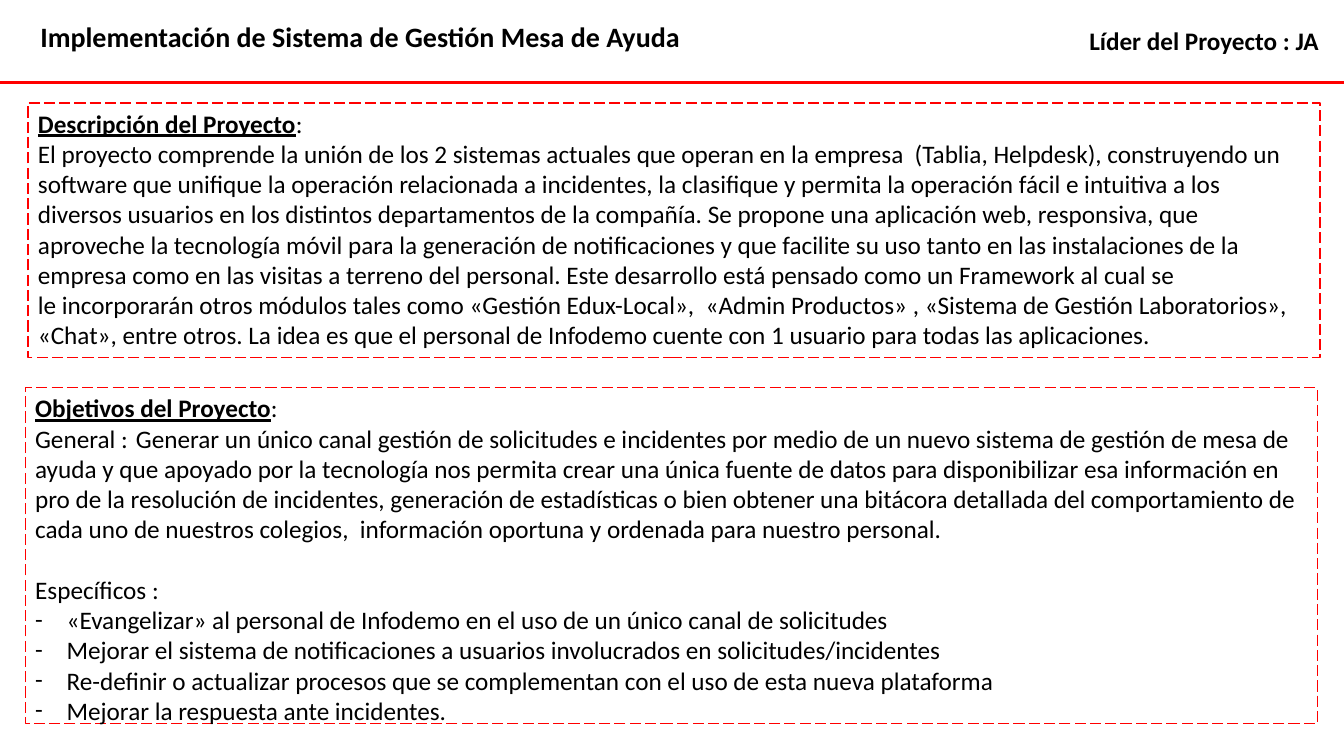
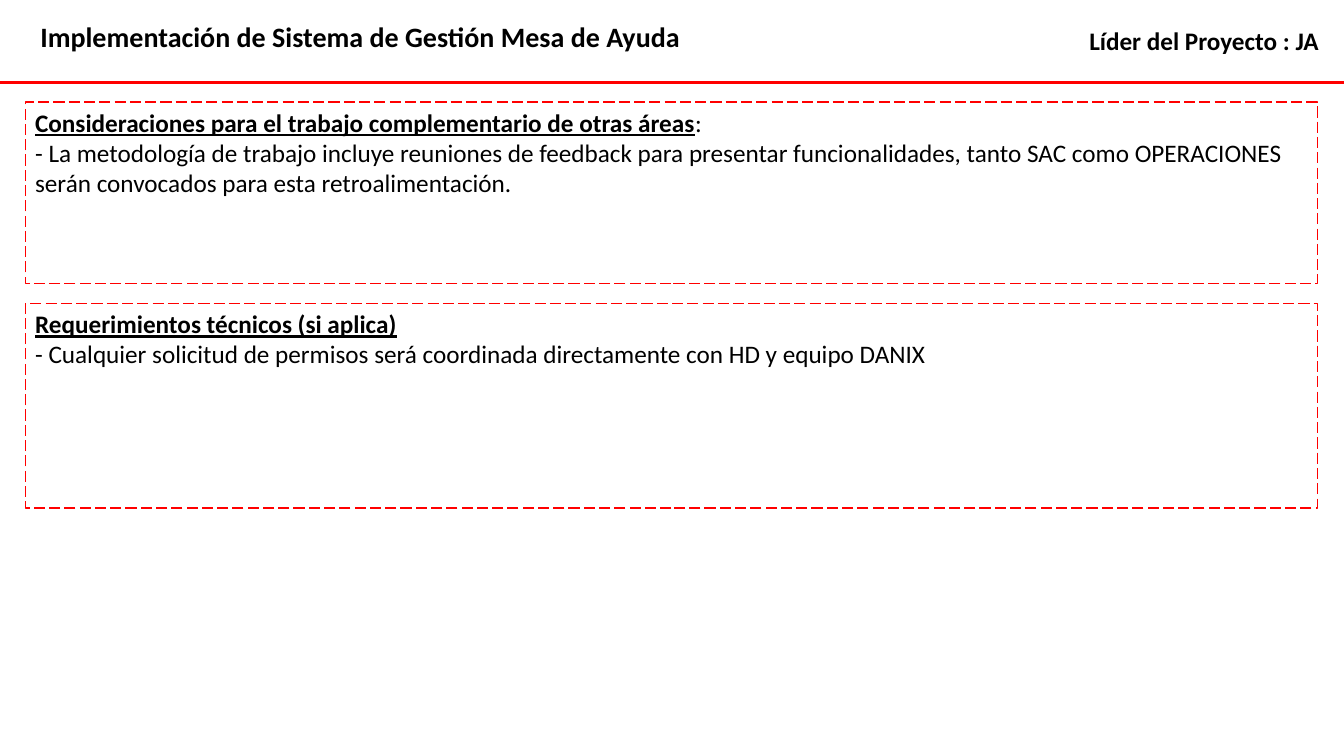
import pptx
import pptx.dml.color
import pptx.enum.dml
import pptx.enum.shapes
import pptx.enum.text
import pptx.util
from lxml import etree
from pptx.oxml import ns

Pt = pptx.util.Pt
RED = pptx.dml.color.RGBColor(0xFF, 0x00, 0x00)
BLACK = pptx.dml.color.RGBColor(0x00, 0x00, 0x00)
FONT = "Calibri"
SLIDE_WIDTH, SLIDE_HEIGHT = 960, 540
TITLE_ONLY = 5
TITLE = "Implementación de Sistema de Gestión Mesa de Ayuda"
LEADER = "Líder del Proyecto : JA"
TITLE_BOX = (21.6, 10, 480, 32)
LEADER_BOX = (771, 14.4, 180, 29)
RULE_TOP = 59
PANEL_LEFT, PANEL_WIDTH = 18, 923
BODY_SIZE = 18
BLANK_LINE = 21.6
BULLET_INDENT = 22.5

SLIDES = [
    [
        {
            "box": (20, 73.5, PANEL_WIDTH, 182),
            "heading": "Descripción del Proyecto",
            "suffix": ":",
            "paragraphs": [
                "El proyecto comprende la unión de los 2 sistemas actuales que operan en la "
                "empresa  (Tablia, Helpdesk), construyendo un software que unifique la operación "
                "relacionada a incidentes, la clasifique y permita la operación fácil e intuitiva "
                "a los diversos usuarios en los distintos departamentos de la compañía. Se propone "
                "una aplicación web, responsiva, que aproveche la tecnología móvil para la "
                "generación de notificaciones y que facilite su uso tanto en las instalaciones de "
                "la empresa como en las visitas a terreno del personal. Este desarrollo está "
                "pensado como un Framework al cual se",
                "le incorporarán otros módulos tales como «Gestión Edux-Local»,  «Admin Productos» "
                ", «Sistema de Gestión Laboratorios», «Chat», entre otros. La idea es que el "
                "personal de Infodemo cuente con 1 usuario para todas las aplicaciones.",
            ],
        },
        {
            "box": (PANEL_LEFT, 277, PANEL_WIDTH, 240),
            "heading": "Objetivos del Proyecto",
            "suffix": ":",
            "paragraphs": [
                "General : \tGenerar un único canal gestión de solicitudes e incidentes por medio "
                "de un nuevo sistema de gestión de mesa de ayuda y que apoyado por la tecnología "
                "nos permita crear una única fuente de datos para disponibilizar esa información "
                "en pro de la resolución de incidentes, generación de estadísticas o bien obtener "
                "una bitácora detallada del comportamiento de cada uno de nuestros colegios,  "
                "información oportuna y ordenada para nuestro personal.",
            ],
            "list_title": "Específicos :",
            "bullets": [
                "«Evangelizar» al personal de Infodemo en el uso de un único canal de solicitudes",
                "Mejorar el sistema de notificaciones a usuarios involucrados en "
                "solicitudes/incidentes",
                "Re-definir o actualizar procesos que se complementan con el uso de esta nueva "
                "plataforma",
                "Mejorar la respuesta ante incidentes.",
            ],
        },
    ],
    [
        {
            "box": (PANEL_LEFT, 73, PANEL_WIDTH, 129.5),
            "heading": "Consideraciones para el trabajo complementario de otras áreas",
            "suffix": ":",
            "paragraphs": [
                "- La metodología de trabajo incluye reuniones de feedback para presentar "
                "funcionalidades, tanto SAC como OPERACIONES serán convocados para esta "
                "retroalimentación.",
            ],
        },
        {
            "box": (PANEL_LEFT, 216.8, PANEL_WIDTH, 146),
            "heading": "Requerimientos técnicos (si aplica)",
            "paragraphs": [
                "- Cualquier solicitud de permisos será coordinada directamente con HD y equipo "
                "DANIX",
            ],
        },
    ],
]


def format_paragraph(paragraph, size=BODY_SIZE, bold=False):
    paragraph.alignment = pptx.enum.text.PP_ALIGN.LEFT
    paragraph.font.name = FONT
    paragraph.font.size = Pt(size)
    paragraph.font.bold = bold
    paragraph.font.color.rgb = BLACK


def add_body_paragraph(text_frame, text, space_before=0):
    paragraph = text_frame.add_paragraph()
    paragraph.text = text
    paragraph.space_before = Pt(space_before)
    format_paragraph(paragraph)
    return paragraph


def add_bullet(text_frame, text):
    paragraph = text_frame.add_paragraph()
    paragraph.text = text
    properties = paragraph._p.get_or_add_pPr()
    properties.set("marL", str(Pt(BULLET_INDENT)))
    properties.set("indent", str(-Pt(BULLET_INDENT)))
    etree.SubElement(properties, ns.qn("a:buFont"), typeface=FONT)
    etree.SubElement(properties, ns.qn("a:buChar"), char="-")
    format_paragraph(paragraph)


def fill_heading_box(shape, box, text, size):
    shape.left, shape.top, shape.width, shape.height = map(Pt, box)
    text_frame = shape.text_frame
    text_frame.text = text
    text_frame.word_wrap = True
    text_frame.auto_size = pptx.enum.text.MSO_AUTO_SIZE.NONE
    text_frame.vertical_anchor = pptx.enum.text.MSO_ANCHOR.TOP
    format_paragraph(text_frame.paragraphs[0], size, bold=True)


def add_header(slide):
    fill_heading_box(slide.shapes.title, TITLE_BOX, TITLE, 20)
    leader = slide.shapes.add_textbox(*map(Pt, LEADER_BOX))
    fill_heading_box(leader, LEADER_BOX, LEADER, BODY_SIZE)
    rule = slide.shapes.add_connector(
        pptx.enum.shapes.MSO_CONNECTOR.STRAIGHT,
        Pt(0), Pt(RULE_TOP), Pt(SLIDE_WIDTH), Pt(RULE_TOP),
    )
    rule.line.color.rgb = RED
    rule.line.width = Pt(2.25)
    etree.SubElement(rule._element.spPr, ns.qn("a:effectLst"))


def add_panel(slide, box, heading, paragraphs, suffix="", list_title="", bullets=()):
    panel = slide.shapes.add_shape(
        pptx.enum.shapes.MSO_SHAPE.RECTANGLE, *map(Pt, box)
    )
    panel.shadow.inherit = False
    panel.fill.background()
    panel.line.color.rgb = RED
    panel.line.width = Pt(1)
    panel.line.dash_style = pptx.enum.dml.MSO_LINE.LONG_DASH

    text_frame = panel.text_frame
    text_frame.word_wrap = True
    text_frame.vertical_anchor = pptx.enum.text.MSO_ANCHOR.TOP
    heading_paragraph = text_frame.paragraphs[0]
    format_paragraph(heading_paragraph)
    heading_run = heading_paragraph.add_run()
    heading_run.text = heading
    heading_run.font.bold = True
    heading_run.font.underline = True
    if suffix:
        heading_paragraph.add_run().text = suffix
    for text in paragraphs:
        add_body_paragraph(text_frame, text)
    if list_title:
        add_body_paragraph(text_frame, list_title, BLANK_LINE)
    for text in bullets:
        add_bullet(text_frame, text)


def add_project_slide(presentation, panels):
    slide = presentation.slides.add_slide(presentation.slide_layouts[TITLE_ONLY])
    add_header(slide)
    for panel in panels:
        add_panel(slide, **panel)


def main():
    presentation = pptx.Presentation()
    presentation.slide_width = Pt(SLIDE_WIDTH)
    presentation.slide_height = Pt(SLIDE_HEIGHT)
    for panels in SLIDES:
        add_project_slide(presentation, panels)
    presentation.save("out.pptx")


if __name__ == "__main__":
    main()
